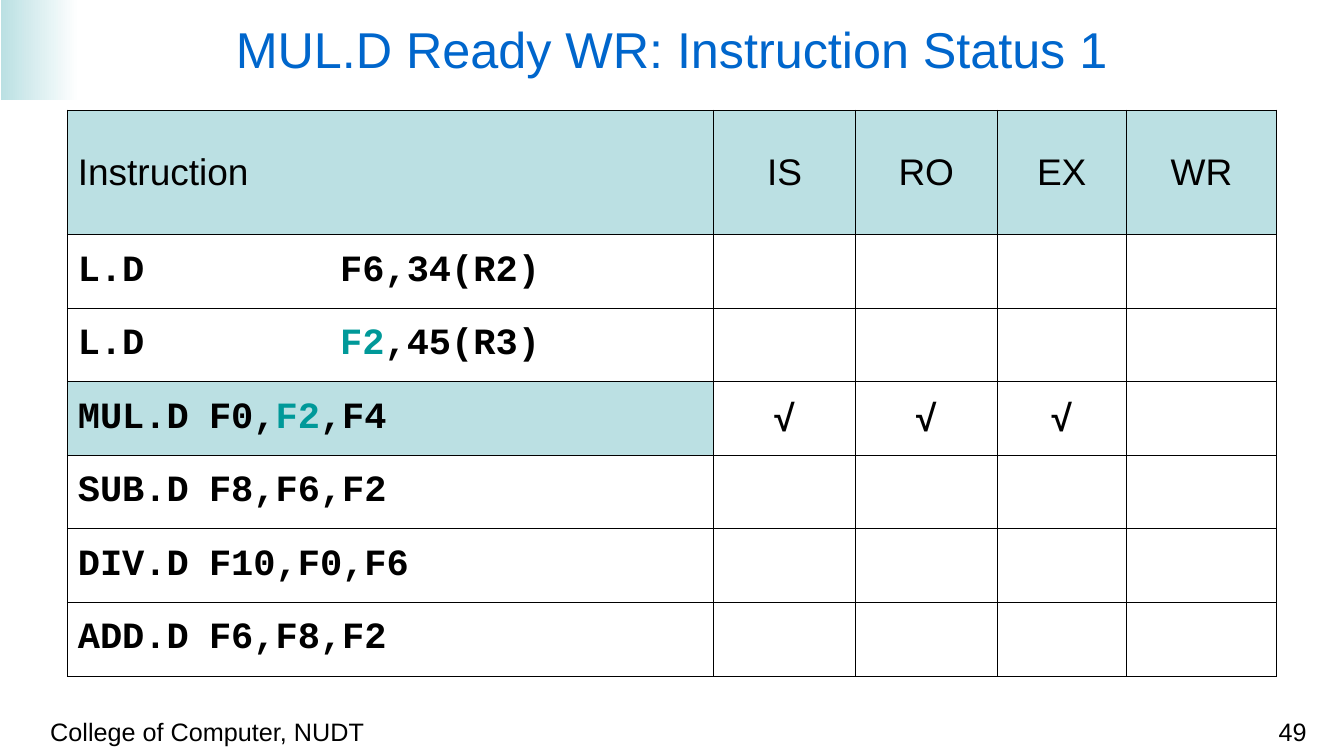
from dataclasses import dataclass

from lxml.etree import SubElement
from pptx import Presentation
from pptx.dml.color import RGBColor
from pptx.enum.shapes import MSO_SHAPE as SHAPE
from pptx.enum.text import MSO_ANCHOR as ANCHOR, PP_ALIGN as ALIGN
from pptx.oxml.ns import qn
from pptx.util import Emu, Inches, Pt

COLORS = {"black": "000000", "white": "FFFFFF", "title": "0066CC",
          "pale": "BBE0E3", "teal": "009999"}
FORMATS = {
    "title": {"name": "Arial", "size": Pt(34), "bold": False},
    "footer": {"name": "Arial", "size": Pt(17), "bold": False},
    "header": {"name": "Arial", "size": Pt(25), "bold": False},
    "code": {"name": "Courier New", "size": Pt(25), "bold": True},
    "check": {"name": "Arial", "size": Pt(25), "bold": True},
}
BOX_MARGINS = {"margin_left": Inches(0.12), "margin_right": Inches(0.12),
               "margin_top": Inches(0.06), "margin_bottom": Inches(0.06)}
CELL_FORMAT = {"margin_left": Inches(0.1), "margin_right": Inches(0.1),
               "margin_top": Inches(0.05), "margin_bottom": Inches(0.05),
               "vertical_anchor": ANCHOR.MIDDLE}
WIDTH, HEIGHT = Inches(12.6), Inches(7.09)
COLUMNS = (48.1, 10.55, 10.55, 9.6, 11.2)
HEADER_ROW, CODE_ROW = 16.5, 9.73
TAB_STEP, TAB_COUNT = 9.76, 8
STAGES = ("IS", "RO", "EX", "WR")


@dataclass
class Area:
    left: float
    top: float
    width: float
    height: float

    def emu(self) -> tuple[Emu, Emu, Emu, Emu]:
        return (across(self.left), down(self.top),
                across(self.width), down(self.height))


@dataclass
class Label:
    text: str
    area: Area
    style: str
    color: str = "black"
    align: ALIGN = ALIGN.LEFT
    anchor: ANCHOR = ANCHOR.TOP


@dataclass
class Instruction:
    opcode: str
    before: str
    marked: str = ""
    after: str = ""
    done: int = 0


LABELS = (
    Label("College of Computer, NUDT", Area(2.78, 93.94, 36.98, 3.95), "footer"),
    Label("49", Area(87.78, 93.94, 10.4, 3.95), "footer", align=ALIGN.RIGHT),
    Label("MUL.D Ready WR: Instruction Status 1", Area(1.98, 1.69, 96.03, 9.45),
          "title", "title", ALIGN.CENTER, ANCHOR.MIDDLE),
)
INSTRUCTIONS = (
    Instruction("L.D\t", "F6,34(R2)"),
    Instruction("L.D\t", "", "F2", ",45(R3)"),
    Instruction("MUL.D", "F0,", "F2", ",F4", done=3),
    Instruction("SUB.D", "F8,F6,F2"),
    Instruction("DIV.D", "F10,F0,F6"),
    Instruction("ADD.D", "F6,F8,F2"),
)


def across(percent: float) -> Emu:
    return Emu(round(WIDTH * percent / 100))


def down(percent: float) -> Emu:
    return Emu(round(HEIGHT * percent / 100))


def rgb(name: str) -> RGBColor:
    return RGBColor.from_string(COLORS[name])


def apply(target, values: dict) -> None:
    for key, value in values.items():
        setattr(target, key, value)


def add_run(p, text: str, style: str, color: str = "black") -> None:
    r = p.add_run()
    r.text = text
    apply(r.font, FORMATS[style])
    r.font.color.rgb = rgb(color)


def add_tabs(p) -> None:
    tabs = SubElement(p._p.get_or_add_pPr(), qn("a:tabLst"))
    for i in range(TAB_COUNT):
        SubElement(tabs, qn("a:tab"), pos=str(across(i * TAB_STEP)), algn="l")


def add_corner(s) -> None:
    sp = s.shapes.add_shape(SHAPE.RECTANGLE, *Area(0.08, 0, 5.79, 13.26).emu())
    sp.shadow.inherit = False
    sp.line.fill.background()
    sp.fill.gradient()
    sp.fill.gradient_angle = 0
    for stop, color in zip(sp.fill.gradient_stops, ("pale", "white")):
        stop.color.rgb = rgb(color)


def add_label(s, label: Label) -> None:
    tf = s.shapes.add_textbox(*label.area.emu()).text_frame
    apply(tf, BOX_MARGINS | {"word_wrap": True, "vertical_anchor": label.anchor})
    p = tf.paragraphs[0]
    p.alignment = label.align
    add_run(p, label.text, label.style, label.color)


def format_cell(cell, shaded: bool) -> None:
    apply(cell, CELL_FORMAT)
    props = cell._tc.get_or_add_tcPr()
    for side in ("L", "R", "T", "B"):
        line = SubElement(props, qn(f"a:ln{side}"), w=str(Pt(0.45)))
        fill = SubElement(line, qn("a:solidFill"))
        SubElement(fill, qn("a:srgbClr"), val=COLORS["black"])
    if shaded:
        cell.fill.solid()
        cell.fill.fore_color.rgb = rgb("pale")
    else:
        cell.fill.background()


def write_cell(cell, text: str, style: str, align: ALIGN = ALIGN.CENTER) -> None:
    p = cell.text_frame.paragraphs[0]
    p.alignment = align
    add_run(p, text, style)


def write_instruction(cell, item: Instruction) -> None:
    p = cell.text_frame.paragraphs[0]
    p.alignment = ALIGN.JUSTIFY
    add_tabs(p)
    add_run(p, f"{item.opcode}\t{item.before}", "code")
    if item.marked:
        add_run(p, item.marked, "code", "teal")
        add_run(p, item.after, "code")


def add_status_table(s) -> None:
    heights = (HEADER_ROW,) + (CODE_ROW,) * len(INSTRUCTIONS)
    area = Area(5, 14.53, sum(COLUMNS), sum(heights))
    table = s.shapes.add_table(len(heights), len(COLUMNS), *area.emu()).table
    apply(table, {"first_row": False, "horz_banding": False})
    for column, width in zip(table.columns, COLUMNS):
        column.width = across(width)
    for row, height in zip(table.rows, heights):
        row.height = down(height)
    for i in range(len(heights)):
        for j in range(len(COLUMNS)):
            active = j == 0 and i > 0 and INSTRUCTIONS[i - 1].done > 0
            format_cell(table.cell(i, j), i == 0 or active)
    write_cell(table.cell(0, 0), "Instruction", "header", ALIGN.JUSTIFY)
    for j, stage in enumerate(STAGES, 1):
        write_cell(table.cell(0, j), stage, "header")
    for i, item in enumerate(INSTRUCTIONS, 1):
        write_instruction(table.cell(i, 0), item)
        for j in range(1, item.done + 1):
            write_cell(table.cell(i, j), "√", "check")


def main() -> None:
    prs = Presentation()
    apply(prs, {"slide_width": WIDTH, "slide_height": HEIGHT})
    s = prs.slides.add_slide(prs.slide_layouts[6])
    add_corner(s)
    for label in LABELS:
        add_label(s, label)
    add_status_table(s)
    prs.save("out.pptx")


if __name__ == "__main__":
    main()
